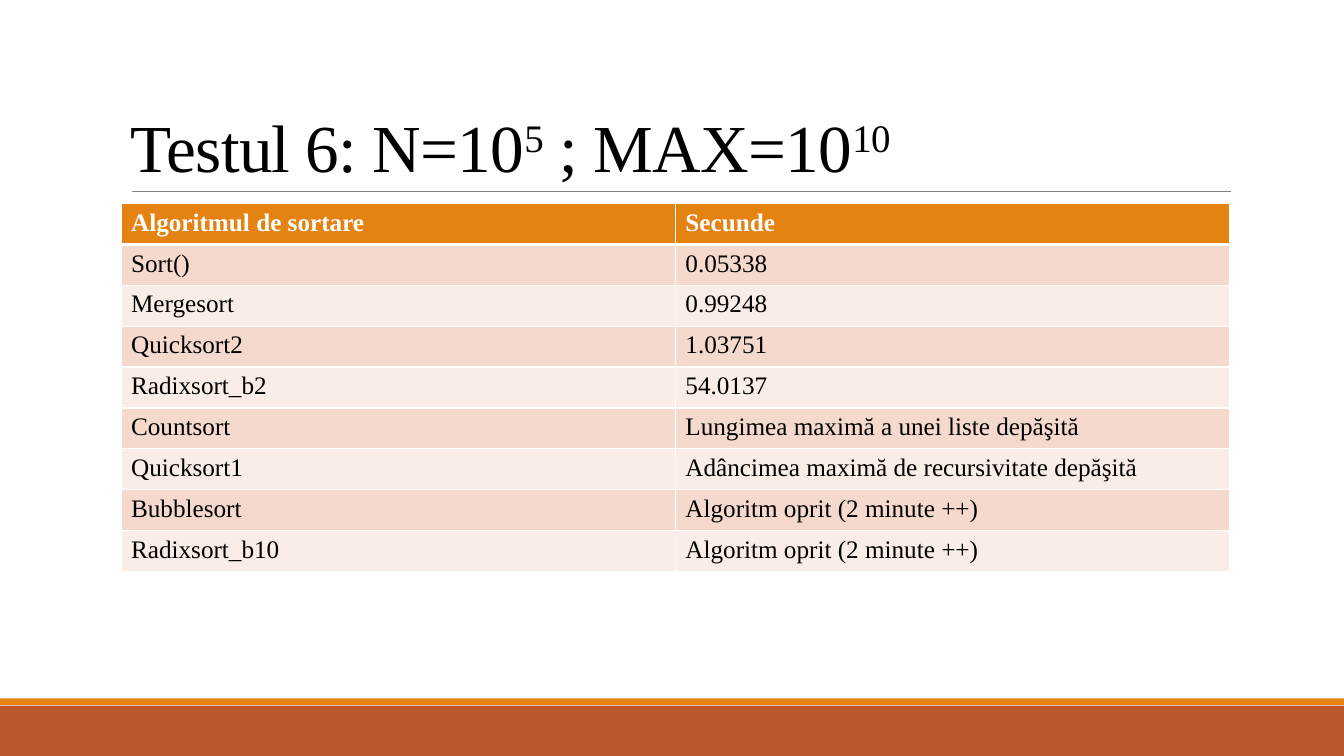
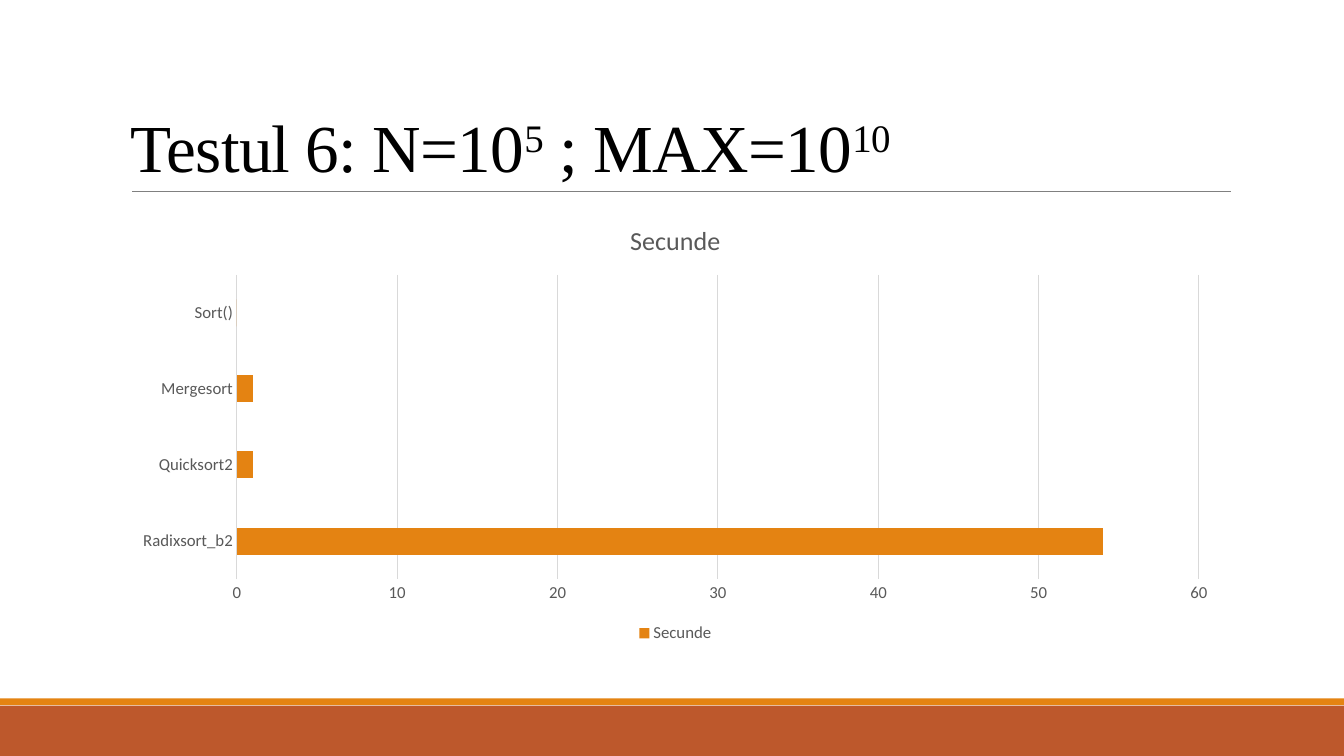
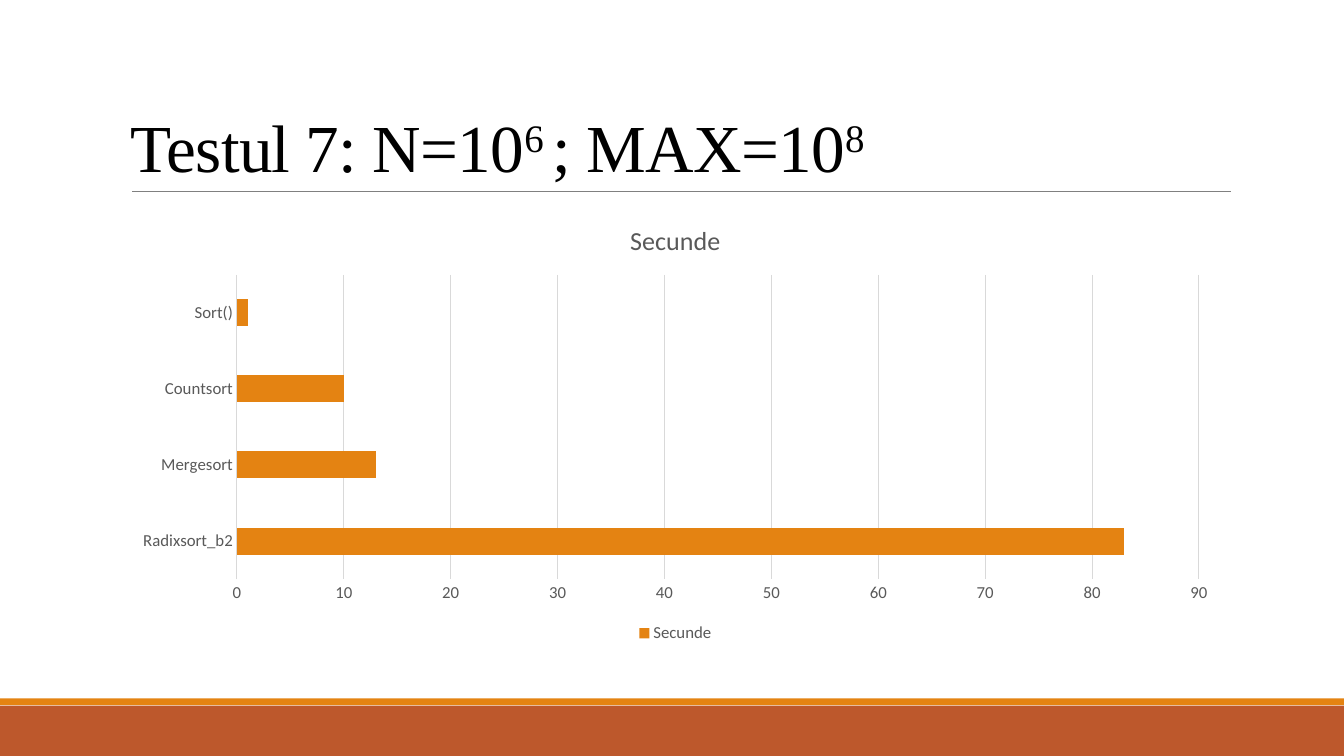
"""Build the sorting benchmark slides for tests 6 and 7."""
from dataclasses import dataclass

from lxml import etree
from pptx import Presentation
from pptx.chart import data as chart_data
from pptx.dml.color import RGBColor
from pptx.enum import chart as chart_enum, shapes, text
from pptx.oxml import ns
from pptx.util import Cm, Pt


@dataclass(frozen=True)
class Theme:
    accent: str = "E48312"
    footer: str = "BD582C"
    rule: str = "808080"
    ink: str = "000000"
    paper: str = "FFFFFF"
    chart_ink: str = "595959"
    grid: str = "D9D9D9"
    stripes: tuple = ("FAEDE7", "F5D9CC")
    text_font: str = "Times New Roman"
    chart_font: str = "Calibri"
    title_size: float = 48
    table_size: float = 18
    chart_title_size: float = 18.6
    label_size: float = 12


class SlideBuilder:
    left, width, body_top = Cm(3.05), Cm(27.94), Cm(5.13)

    def __init__(self, theme):
        self.theme = theme
        self.deck = Presentation()
        self.deck.slide_width, self.deck.slide_height = Cm(33.87), Cm(19.05)
        self.page = None

    def add_page(self, title):
        self.page = self.deck.slides.add_slide(self.deck.slide_layouts[6])
        self.add_band(17.78, 1.27, self.theme.footer)
        self.add_band(17.6, 0.17, self.theme.accent)
        self.add_rule()
        self.add_title(title)

    def add_band(self, top, height, color):
        band = self.page.shapes.add_shape(
            shapes.MSO_SHAPE.RECTANGLE, 0, Cm(top), self.deck.slide_width, Cm(height))
        band.shadow.inherit = False
        band.fill.solid()
        band.fill.fore_color.rgb = RGBColor.from_string(color)
        band.line.fill.background()

    def add_rule(self):
        rule = self.page.shapes.add_connector(
            shapes.MSO_CONNECTOR.STRAIGHT, Cm(3.33), Cm(4.83), Cm(31.01), Cm(4.83))
        self.style_line(rule.line, self.theme.rule, 0.5)
        etree.SubElement(rule._element.spPr, ns.qn("a:effectLst"))

    def add_title(self, pieces):
        box = self.page.shapes.add_textbox(self.left, Cm(0.79), self.width, Cm(4.04))
        frame = box.text_frame
        frame.word_wrap = True
        frame.vertical_anchor = text.MSO_ANCHOR.BOTTOM
        para = frame.paragraphs[0]
        para.line_spacing = 0.85
        for index, piece in enumerate(pieces):
            span = para.add_run()
            span.text = piece
            self.style_font(span.font, self.theme.title_size, self.theme.ink)
            properties = span._r.get_or_add_rPr()
            properties.set("spc", "-50")
            if index % 2:
                properties.set("baseline", "30000")

    def add_table(self, rows):
        row_height = Cm(1.03)
        table = self.page.shapes.add_table(
            len(rows), len(rows[0]), self.left, self.body_top,
            self.width, row_height * len(rows)).table
        for row_index, values in enumerate(rows):
            table.rows[row_index].height = row_height
            for column_index, value in enumerate(values):
                self.fill_cell(table.cell(row_index, column_index), value, row_index)

    def fill_cell(self, cell, value, row_index):
        header = row_index == 0
        cell.text_frame.text = value
        font = cell.text_frame.paragraphs[0].runs[0].font
        self.style_font(font, self.theme.table_size,
                        self.theme.paper if header else self.theme.ink)
        font.bold = header
        properties = cell._tc.get_or_add_tcPr()
        for side in "LRTB":
            points = 3 if header and side == "B" else 1
            edge = etree.SubElement(properties, ns.qn(f"a:ln{side}"), w=str(Pt(points)))
            fill = etree.SubElement(edge, ns.qn("a:solidFill"))
            etree.SubElement(fill, ns.qn("a:srgbClr"), val=self.theme.paper)
        cell.fill.solid()
        cell.fill.fore_color.rgb = RGBColor.from_string(
            self.theme.accent if header else self.theme.stripes[row_index % 2])

    def add_bar_chart(self, name, seconds):
        theme = self.theme
        source = chart_data.CategoryChartData()
        source.categories = list(seconds)
        source.add_series(name, list(seconds.values()))
        chart = self.page.shapes.add_chart(
            chart_enum.XL_CHART_TYPE.BAR_CLUSTERED, self.left, self.body_top,
            self.width, Cm(11.18), source).chart
        self.style_font(chart.font, theme.label_size, theme.chart_ink, theme.chart_font)

        chart.has_title = True
        chart.chart_title.include_in_layout = False
        heading = chart.chart_title.text_frame
        heading.text = name
        font = heading.paragraphs[0].runs[0].font
        self.style_font(font, theme.chart_title_size, theme.chart_ink, theme.chart_font)
        font.bold = False

        chart.has_legend = True
        chart.legend.position = chart_enum.XL_LEGEND_POSITION.BOTTOM
        chart.legend.include_in_layout = False

        for axis in (chart.category_axis, chart.value_axis):
            axis.major_tick_mark = chart_enum.XL_TICK_MARK.NONE
            axis.minor_tick_mark = chart_enum.XL_TICK_MARK.NONE
        self.style_line(chart.category_axis.format.line, theme.grid, 0.75)
        chart.value_axis.format.line.fill.background()
        chart.value_axis.has_major_gridlines = True
        self.style_line(chart.value_axis.major_gridlines.format.line, theme.grid, 0.75)

        plot = chart.plots[0]
        plot.gap_width = 182
        plot.vary_by_categories = False
        bars = plot.series[0].format.fill
        bars.solid()
        bars.fore_color.rgb = RGBColor.from_string(theme.accent)

    def style_font(self, font, size, color, name=None):
        font.name = name or self.theme.text_font
        font.size = Pt(size)
        font.color.rgb = RGBColor.from_string(color)

    def style_line(self, line, color, points):
        line.color.rgb = RGBColor.from_string(color)
        line.width = Pt(points)


def main():
    builder = SlideBuilder(Theme())
    test_six = ("Testul 6: N=10", "5", " ; MAX=10", "10")
    test_seven = ("Testul 7: N=10", "6 ", "; MAX=10", "8")
    stopped = "Algoritm oprit (2 minute ++)"

    builder.add_page(test_six)
    builder.add_table([
        ("Algoritmul de sortare", "Secunde"),
        ("Sort()", "0.05338"),
        ("Mergesort", "0.99248"),
        ("Quicksort2", "1.03751"),
        ("Radixsort_b2", "54.0137"),
        ("Countsort", "Lungimea maximă a unei liste depăşită"),
        ("Quicksort1", "Adâncimea maximă de recursivitate depăşită"),
        ("Bubblesort", stopped),
        ("Radixsort_b10", stopped),
    ])

    builder.add_page(test_six)
    builder.add_bar_chart(
        "Secunde", {"Radixsort_b2": 54, "Quicksort2": 1, "Mergesort": 1, "Sort()": 0})

    builder.add_page(test_seven)
    builder.add_bar_chart(
        "Secunde", {"Radixsort_b2": 83, "Mergesort": 13, "Countsort": 10, "Sort()": 1})

    builder.deck.save("out.pptx")


if __name__ == "__main__":
    main()
